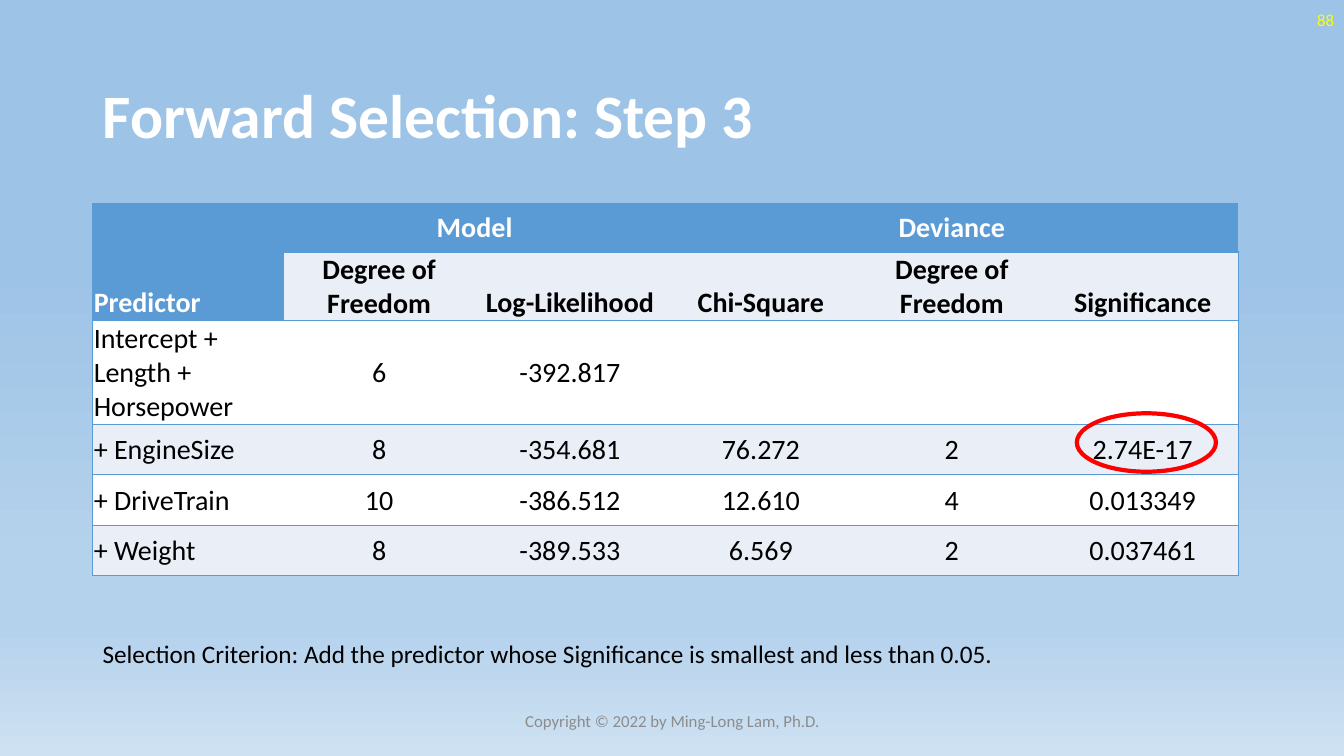
from pptx import Presentation
from pptx.dml.color import RGBColor
from pptx.enum.shapes import MSO_SHAPE
from pptx.enum.text import MSO_ANCHOR, PP_ALIGN
from pptx.oxml import parse_xml
from pptx.oxml.ns import nsdecls, qn
from pptx.util import Pt

PX = 9144
FONT = "Calibri"
LEFT, MID, RIGHT = PP_ALIGN.LEFT, PP_ALIGN.CENTER, PP_ALIGN.RIGHT
TOP, CENTRE, BASE = MSO_ANCHOR.TOP, MSO_ANCHOR.MIDDLE, MSO_ANCHOR.BOTTOM
OVAL = MSO_SHAPE.OVAL
HEX = {"head": "5B9BD5", "band": "EAEFF7", "white": "FFFFFF", "black": "000000",
       "page": "FFFF00", "foot": "8C8C8C", "ring": "FF0000"}
SKY = [(35, "9DC3E6"), (74, "B5D2EC"), (83, "B5D2EC"), (100, "CEE1F2")]
ROWS = [
    ["Predictor", "Model", "", "Deviance", "", ""],
    ["", "Degree of Freedom", "Log-Likelihood", "Chi-Square", "Degree of Freedom", "Significance"],
    ["Intercept + Length + Horsepower", "6", "-392.817", "", "", ""],
    ["+ EngineSize", "8", "-354.681", "76.272", "2", "2.74E-17"],
    ["+ DriveTrain", "10", "-386.512", "12.610", "4", "0.013349"],
    ["+ Weight", "8", "-389.533", "6.569", "2", "0.037461"],
]
HEIGHTS = [48, 68, 103, 50, 50, 50]
SPANS = [(0, 0, 1, 0), (0, 1, 0, 2), (0, 3, 0, 5)]


def color(name):
    """Return the named colour."""
    return RGBColor.from_string(HEX[name])


def scale(*box):
    """Turn px lengths into EMU."""
    return [n * PX for n in box]


def style(para, size, ink, bold=False, align=LEFT):
    """Format a paragraph and its runs."""
    para.alignment = align
    for run in para.runs:
        run.font.name, run.font.size, run.font.bold = FONT, Pt(size), bold
        run.font.color.rgb = color(ink)


def label(slide, box, text, size, ink, bold=False, align=LEFT, anchor=CENTRE):
    """Place one line of text in a box."""
    frame = slide.shapes.add_textbox(*scale(*box)).text_frame
    frame.word_wrap = True
    frame.vertical_anchor = anchor
    frame.text = text
    style(frame.paragraphs[0], size, ink, bold, align)


def sky(slide):
    """Fill the background with the four-stop gradient."""
    fill = slide.background.fill
    fill.gradient()
    fill.gradient_angle = 270
    stops = next(slide.element.iter(qn("a:gsLst")))
    for stop in list(stops):
        stops.remove(stop)
    for pos, tone in SKY:
        stops.append(parse_xml(
            f'<a:gs {nsdecls("a")} pos="{pos * 1000}"><a:srgbClr val="{tone}"/></a:gs>'))


def edge(cell, first, last):
    """Draw row lines, and side lines at the table's outer columns."""
    props = cell._tc.get_or_add_tcPr()
    sides = [("L", first), ("R", last), ("T", True), ("B", True)]
    for spot, (side, shown) in enumerate(sides):
        paint = (f'<a:solidFill><a:srgbClr val="{HEX["head"]}"/></a:solidFill>'
                 if shown else "<a:noFill/>")
        props.insert(spot, parse_xml(
            f'<a:ln{side} {nsdecls("a")} w="12700">{paint}</a:ln{side}>'))


def grid(slide, box):
    """Build the table of predictors."""
    count = len(ROWS[0])
    table = slide.shapes.add_table(len(ROWS), count, *scale(*box)).table
    for col in table.columns:
        col.width = box[2] * PX // count
    for row, high in zip(table.rows, HEIGHTS):
        row.height = high * PX
    for top, left, low, right in SPANS:
        table.cell(top, left).merge(table.cell(low, right))
    for r, row in enumerate(ROWS):
        for c, text in enumerate(row):
            cell = table.cell(r, c)
            head = r == 0 or (r == 1 and c == 0)
            cell.fill.solid()
            cell.fill.fore_color.rgb = color("head" if head else "band" if r % 2 else "white")
            cell.margin_left = cell.margin_right = cell.margin_top = PX
            cell.margin_bottom = 0
            cell.vertical_anchor = BASE if r == 1 or (r == 0 and c == 0) else CENTRE
            cell.text_frame.text = text
            style(cell.text_frame.paragraphs[0], 20, "white" if head else "black",
                  r < 2, MID if c else LEFT)
            edge(cell, c == 0, c == count - 1)


def ring(slide, box):
    """Circle the chosen value."""
    oval = slide.shapes.add_shape(OVAL, *scale(*box))
    oval.shadow.inherit = False
    oval.fill.background()
    oval.line.color.rgb = color("ring")
    oval.line.width = Pt(3)


def main():
    """Build and save the slide."""
    deck = Presentation()
    deck.slide_width, deck.slide_height = scale(1333, 750)
    slide = deck.slides.add_slide(deck.slide_layouts[6])
    sky(slide)
    label(slide, (92, 40, 1150, 145), "Forward Selection: Step 3", 44, "white", True)
    label(slide, (1033, 0, 300, 40), "88", 12, "page", align=RIGHT)
    label(slide, (442, 695, 450, 40), "Copyright © 2022 by Ming-Long Lam, Ph.D.",
          12, "foot", align=MID)
    grid(slide, (92, 202, 1136, sum(HEIGHTS)))
    label(slide, (92, 628, 1137, 40),
          "Selection Criterion: Add the predictor whose Significance is smallest and less than 0.05.",
          18, "black", anchor=TOP)
    ring(slide, (1068, 410, 138, 58))
    deck.save("out.pptx")


if __name__ == "__main__":
    main()
